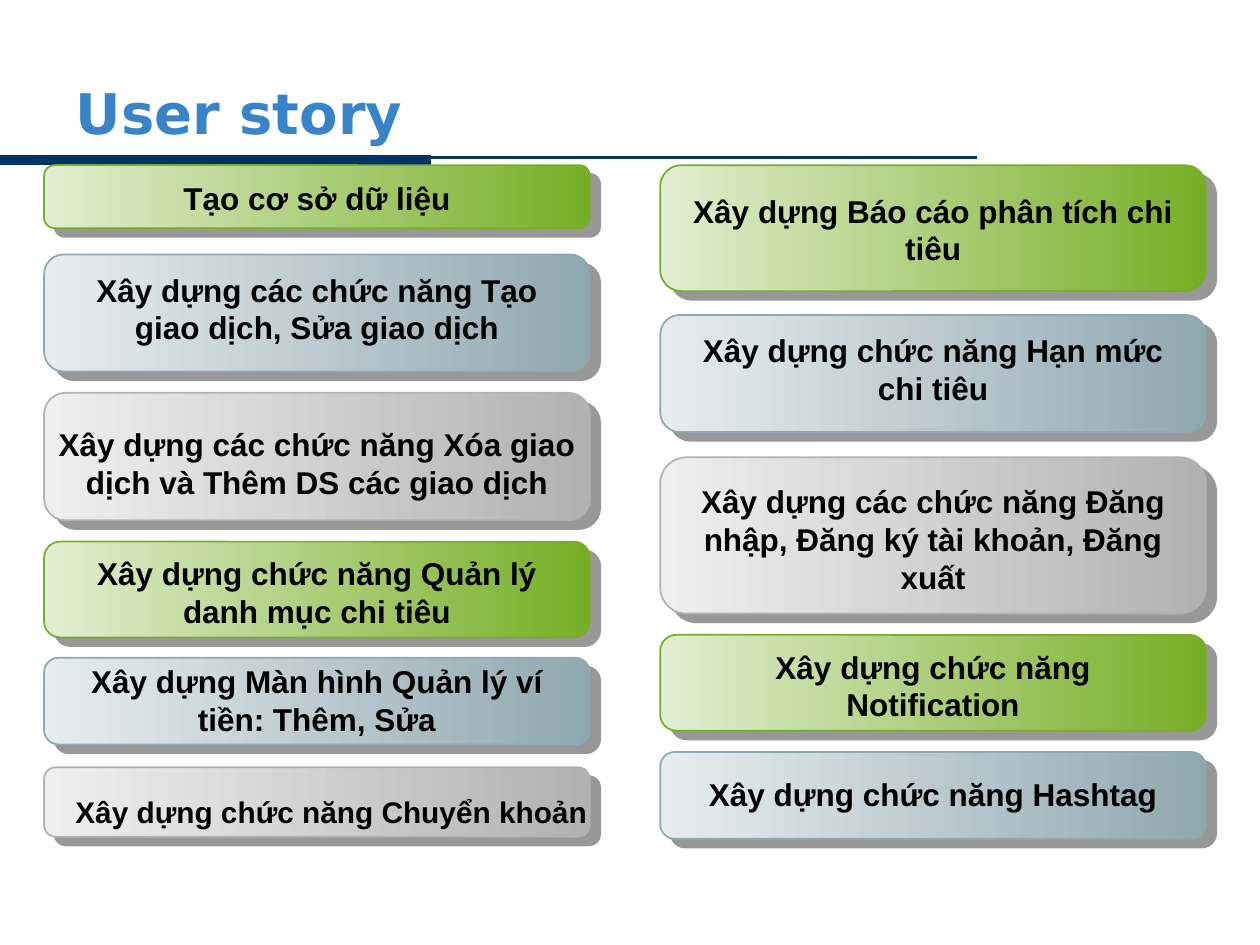
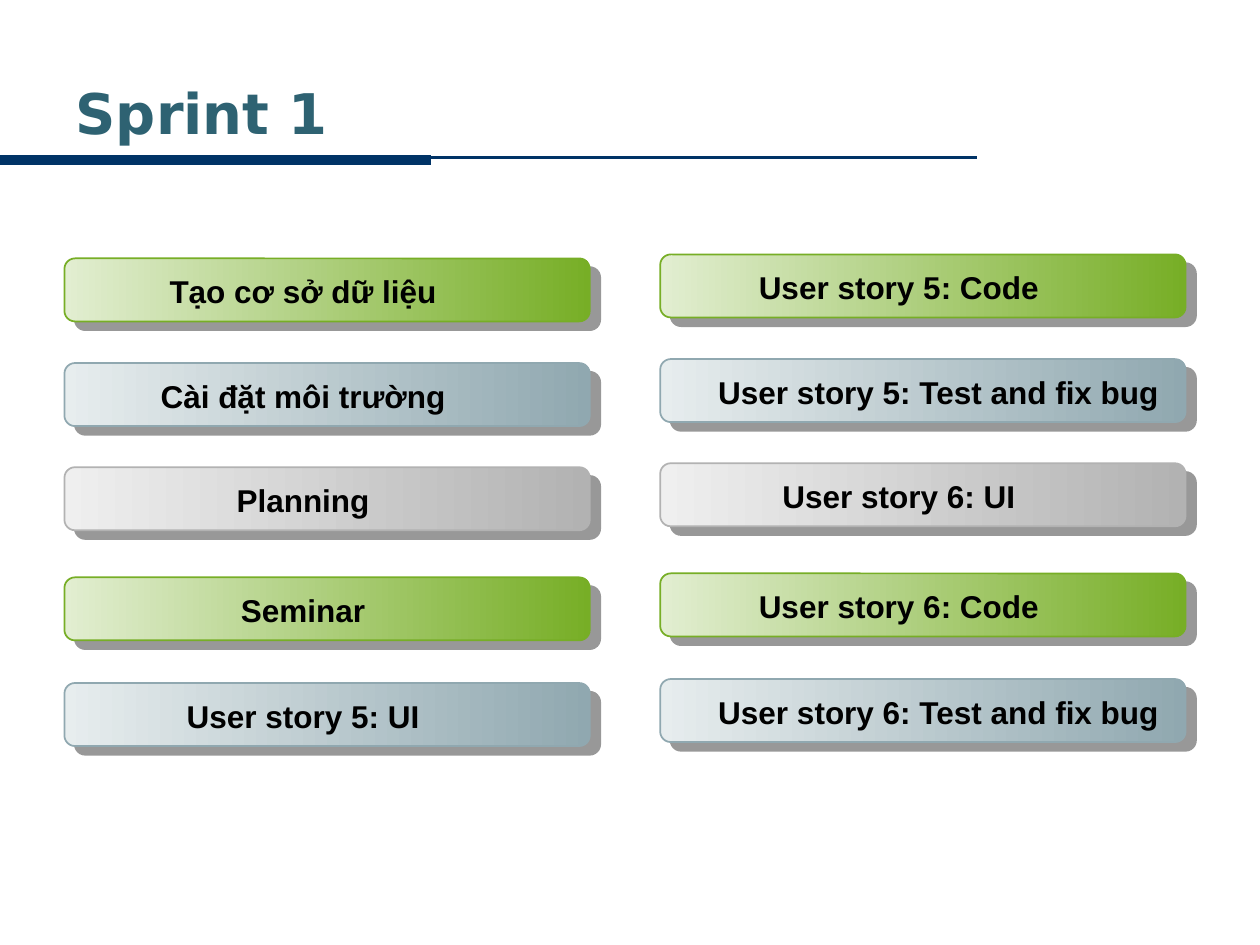
from itertools import cycle

from lxml.etree import SubElement
from pptx import Presentation
from pptx.dml.color import RGBColor
from pptx.enum.shapes import MSO_CONNECTOR, MSO_SHAPE
from pptx.enum.text import MSO_ANCHOR, MSO_AUTO_SIZE, PP_ALIGN
from pptx.oxml.ns import qn
from pptx.util import Cm, Pt

NAVY = RGBColor(0x00, 0x33, 0x66)
BLUE = RGBColor(0x39, 0x84, 0xC9)
TEAL = RGBColor(0x2E, 0x62, 0x72)
BLACK = RGBColor(0x00, 0x00, 0x00)
SHADOW = RGBColor(0x33, 0x33, 0x33)
GREEN = (RGBColor(0xE2, 0xEE, 0xD1), RGBColor(0x77, 0xAE, 0x26))
STEEL = (RGBColor(0xE7, 0xED, 0xEE), RGBColor(0x90, 0xA8, 0xB0))
GREY = (RGBColor(0xEF, 0xEF, 0xEF), RGBColor(0xB2, 0xB2, 0xB2))
CARD_COLOURS = (GREEN, STEEL, GREY)

STORY_W, LABEL_DX, LABEL_W = 11, 0.38, 10.24
STORY_COLUMNS = (
    (0.89, (
        (3.33, 1.27, 0.15, 1.02, "Tạo cơ sở dữ liệu", {}),
        (5.13, 2.36, 0.2, 1.78, "Xây dựng các chức năng Tạo giao dịch, Sửa giao dịch", {}),
        (7.92, 2.57, 0.53, 2.54, "Xây dựng các chức năng Xóa giao dịch và Thêm DS các giao dịch",
         {"dx": 0, "width": STORY_W}),
        (10.92, 1.93, 0.13, 1.78, "Xây dựng chức năng Quản lý danh mục chi tiêu", {}),
        (13.26, 1.75, -0.03, 1.78, "Xây dựng Màn hình Quản lý ví tiền: Thêm, Sửa", {}),
        (15.47, 1.4, 0.41, 0.99, "Xây dựng chức năng Chuyển khoản",
         {"width": 11.23, "size": 17, "align": PP_ALIGN.LEFT}),
    )),
    (13.31, (
        (3.33, 2.54, 0.41, 1.78, "Xây dựng Báo cáo phân tích chi tiêu", {}),
        (6.35, 2.36, 0.2, 1.78, "Xây dựng chức năng Hạn mức chi tiêu", {}),
        (9.22, 3.15, 0.38, 3.3, "Xây dựng các chức năng Đăng nhập, Đăng ký tài khoản, Đăng xuất",
         {"dx": 0, "width": STORY_W}),
        (12.8, 1.93, 0.13, 1.78, "Xây dựng chức năng Notification", {}),
        (15.16, 1.75, 0.33, 1.02, "Xây dựng chức năng Hashtag", {}),
    )),
)

TASK_W, TASK_H, TASK_LABEL_W, TASK_LABEL_WIDE = 10.59, 1.27, 8.36, 9.96
TASK_OFFSETS = (0, 2.11, 4.21, 6.43, 8.56)
TASK_COLUMNS = (
    (1.3, 5.21, ("Tạo cơ sở dữ liệu", "Cài đặt môi trường", "Planning",
                 "Seminar", "User story 5: UI")),
    (13.31, 5.13, ("User story 5: Code", "User story 5: Test and fix bug",
                   "User story 6: UI", "User story 6: Code",
                   "User story 6: Test and fix bug")),
)


class Deck:
    """Holds the deck style and the slide being filled."""

    def __init__(self):
        self.prs = Presentation()
        self.prs.slide_width, self.prs.slide_height = Cm(25.4), Cm(19.05)
        self.s = None

    def new_slide(self, title, colour):
        self.s = self.prs.slides.add_slide(self.prs.slide_layouts[5])
        self.rule(19.69, 3.18, 1.5)
        self.rule(8.69, 3.23, 6)
        sp = self.s.shapes.title
        sp.left, sp.top, sp.width, sp.height = Cm(1.27), Cm(1.47), Cm(21.39), Cm(1.57)
        tf = sp.text_frame
        tf.auto_size = MSO_AUTO_SIZE.NONE
        tf.vertical_anchor = MSO_ANCHOR.MIDDLE
        self.run(tf, title, "DejaVu Sans", 32, colour, PP_ALIGN.LEFT)

    def run(self, tf, text, font, size, colour, align):
        p = tf.paragraphs[0]
        p.alignment = align
        r = p.add_run()
        r.text = text
        r.font.name, r.font.size, r.font.bold = font, Pt(size), True
        r.font.color.rgb = colour

    def rule(self, right, y, weight):
        line = self.s.shapes.add_connector(MSO_CONNECTOR.STRAIGHT, 0, Cm(y), Cm(right), Cm(y))
        line.line.color.rgb = NAVY
        line.line.width = Pt(weight)
        SubElement(line._element.spPr, qn("a:effectLst"))

    def card(self, x, y, width, height, colours):
        sp = self.s.shapes.add_shape(MSO_SHAPE.ROUNDED_RECTANGLE,
                                     Cm(x), Cm(y), Cm(width), Cm(height))
        sp.fill.gradient()
        sp.fill.gradient_angle = 0
        for stop, colour in zip(sp.fill.gradient_stops, colours):
            stop.color.rgb = colour
        sp.line.color.rgb = colours[1]
        sp.line.width = Pt(1)
        self.shadow(sp)

    def shadow(self, sp):
        effects = SubElement(sp._element.spPr, qn("a:effectLst"))
        outer = SubElement(effects, qn("a:outerShdw"), blurRad="0", dist=str(Pt(7.8)),
                           dir=str(40 * 60000), algn="ctr", rotWithShape="0")
        colour = SubElement(outer, qn("a:srgbClr"), val=str(SHADOW))
        SubElement(colour, qn("a:alpha"), val="50000")

    def label(self, text, x, y, width, height, size=18, align=PP_ALIGN.CENTER):
        tf = self.s.shapes.add_textbox(Cm(x), Cm(y), Cm(width), Cm(height)).text_frame
        tf.word_wrap = True
        tf.auto_size = MSO_AUTO_SIZE.SHAPE_TO_FIT_TEXT
        self.run(tf, text, "Arial", size, BLACK, align)

    def story(self, x, y, height, dy, label_h, text, colours,
              dx=LABEL_DX, width=LABEL_W, **style):
        self.card(x, y, STORY_W, height, colours)
        self.label(text, x + dx, y + dy, width, label_h, **style)

    def task(self, x, y, text, colours):
        self.card(x, y, TASK_W, TASK_H, colours)
        width = TASK_LABEL_WIDE if "Test" in text else TASK_LABEL_W
        self.label(text, x + 0.63, y + 0.15, width, 1.02)


def main():
    deck = Deck()

    deck.new_slide("User story", BLUE)
    for x, stories in STORY_COLUMNS:
        for (y, height, dy, label_h, text, style), colours in zip(stories, cycle(CARD_COLOURS)):
            deck.story(x, y, height, dy, label_h, text, colours, **style)

    deck.new_slide("Sprint 1", TEAL)
    for x, top, tasks in TASK_COLUMNS:
        for offset, text, colours in zip(TASK_OFFSETS, tasks, cycle(CARD_COLOURS)):
            deck.task(x, top + offset, text, colours)

    deck.prs.save("out.pptx")


if __name__ == "__main__":
    main()
